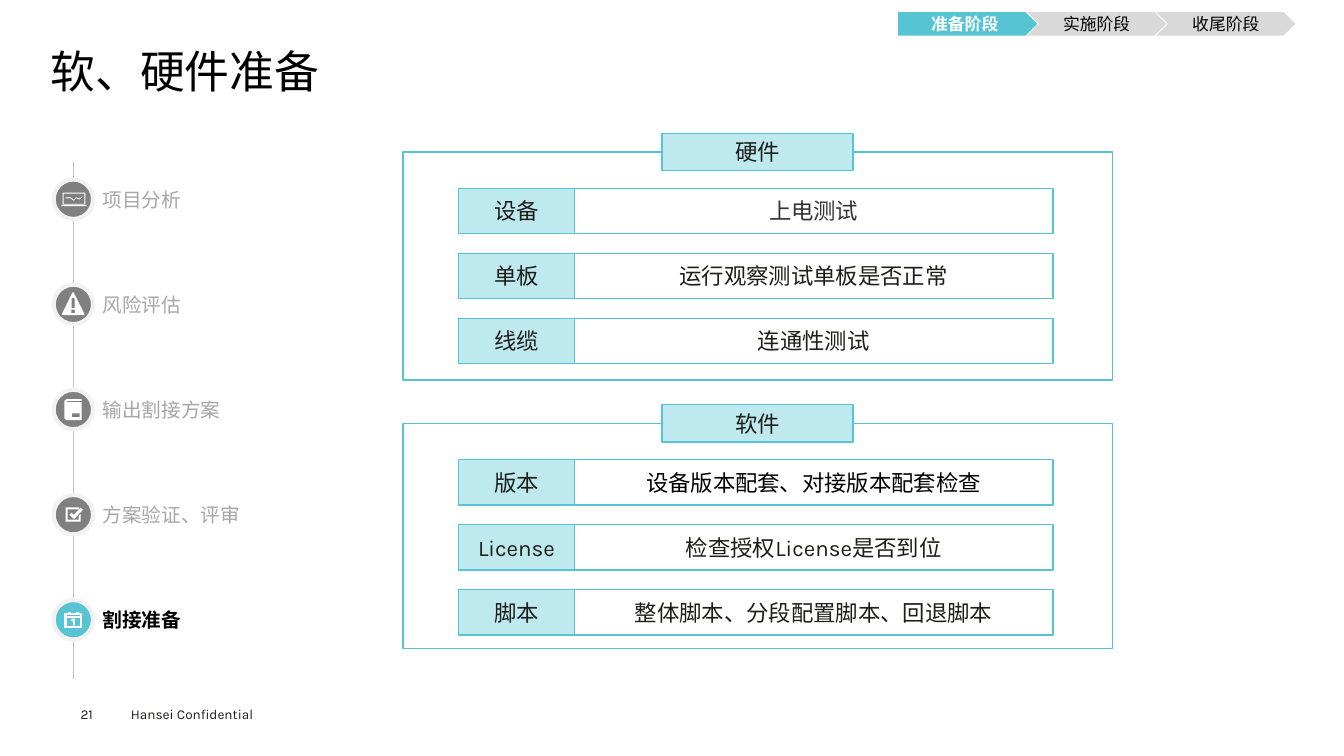
from lxml.etree import SubElement
from pptx import Presentation
from pptx.dml.color import RGBColor as RGB
from pptx.enum.shapes import MSO_CONNECTOR as CONN, MSO_SHAPE as SHAPE
from pptx.enum.text import MSO_ANCHOR as ANCHOR, MSO_AUTO_SIZE as AUTO, PP_ALIGN as ALIGN
from pptx.oxml.ns import qn
from pptx.util import Pt

COLORS = {
    "teal": "56C4D2", "pale": "BEE9EE", "ink": "1D1D1A", "footer": "1D1D1B",
    "dark": "333333", "black": "000000", "white": "FFFFFF", "muted": "A6A6A6",
    "disc": "808080", "ring": "F2F2F2", "axis": "BFBFBF", "stage": "D9D9D9",
}
LATIN, HAN = "Karla", "Noto Sans CJK SC"


def box(l, t, r, b):
    return [(l, t), (r, t), (r, b), (l, b)]


ICONS = {
    "monitor": [
        box(-7.6, -4.7, 8.6, 4), box(-6.9, -4, 7.9, 3.3), box(-8.5, 4.3, 9.4, 5),
        [(-5.5, -1.2), (-2.4, -1.5), (0.3, 0.4), (2, -1.3), (4.5, -0.5), (6.3, -2),
         (6.3, -1.4), (4.5, 0.2), (2, -0.6), (0.3, 1.1), (-2.4, -0.8), (-5.5, -0.5)],
    ],
    "warning": [
        [(-0.5, -8.6), (0.2, -8.6), (7.9, 6.8), (7.4, 7.7), (-7.8, 7.7), (-8.2, 6.8)],
        box(-1.2, -4.4, 1, 2.7), box(-1.3, 3.7, 1.1, 6.2),
    ],
    "book": [
        [(-6.3, -6.1), (-4.8, -7.4), (6, -7.4), (6, -6.2), (-4.4, -6.2), (-4.4, -5.3),
         (6, -5.3), (6, 7.6), (-5, 7.6), (-6.3, 6.4)],
        box(-1, 2.7, 4.5, 5.4),
    ],
    "check": [
        [(-5.5, -5.2), (4.2, -5.2), (3.6, -3.8), (-4.1, -3.8), (-4.1, 3.6), (3.8, 3.6),
         (3.8, 1), (5.2, -0.5), (5.2, 5), (-5.5, 5)],
        [(5.2, -5), (6.8, -3.4), (0.9, 2.9), (0, 2.9), (-2.8, 0.1), (-1.3, -1.4), (0.3, 0.2)],
    ],
    "calendar": [
        [(-6.2, -4.2), (-3.6, -4.2), (-3.6, -5.2), (-2.2, -5.2), (-2.2, -4.2), (2.1, -4.2),
         (2.1, -5.2), (3.5, -5.2), (3.5, -4.2), (6, -4.2), (6, 5.2), (-6.2, 5.2)],
        box(-5.1, -3.5, 4.9, -2.1), box(-5.1, -1.3, 4.9, 4.5),
        [(-1.2, 0.2), (0.1, -0.6), (0.7, -0.6), (0.7, 3.6), (0.1, 3.6), (0.1, 0.3), (-1.2, 0.7)],
    ],
}


class Deck:
    def __init__(self, width, height):
        self.prs = Presentation()
        self.prs.slide_width, self.prs.slide_height = Pt(width), Pt(height)
        self.s = self.prs.slides.add_slide(self.prs.slide_layouts[5])

    def color(self, name):
        return RGB.from_string(COLORS[name])

    def label(self, sp, text, size, color, bold=False, font=LATIN, align=ALIGN.LEFT,
              anchor=ANCHOR.MIDDLE, margins=(0, 0)):
        tf = sp.text_frame
        tf.word_wrap, tf.auto_size, tf.vertical_anchor = True, AUTO.NONE, anchor
        tf.margin_left = tf.margin_right = Pt(margins[0])
        tf.margin_top = tf.margin_bottom = Pt(margins[1])
        p = tf.paragraphs[0]
        p.alignment = align
        r = p.add_run()
        r.text = text
        r.font.size, r.font.bold = Pt(size), bold
        r.font.color.rgb = self.color(color)
        r.font.name = font
        SubElement(r._r.get_or_add_rPr(), qn("a:ea")).set("typeface", HAN)
        return p

    def title(self, text, x, y, w, h):
        sp = self.s.shapes.title
        sp.left, sp.top, sp.width, sp.height = Pt(x), Pt(y), Pt(w), Pt(h)
        p = self.label(sp, text, 32, "black", anchor=ANCHOR.TOP)
        p.line_spacing = 0.9

    def text(self, text, x, y, w, h, size, color, **style):
        sp = self.s.shapes.add_textbox(Pt(x), Pt(y), Pt(w), Pt(h))
        self.label(sp, text, size, color, **style)

    def paint(self, sp, fill, line, weight):
        sp.shadow.inherit = False
        if fill:
            sp.fill.solid()
            sp.fill.fore_color.rgb = self.color(fill)
        else:
            sp.fill.background()
        if line:
            sp.line.color.rgb = self.color(line)
            sp.line.width = Pt(weight)
        else:
            sp.line.fill.background()

    def shape(self, kind, x, y, w, h, fill=None, line=None, weight=1):
        sp = self.s.shapes.add_shape(kind, Pt(x), Pt(y), Pt(w), Pt(h))
        self.paint(sp, fill, line, weight)
        return sp

    def cell(self, text, x, y, w, h, fill=None, color="ink", font=LATIN):
        sp = self.shape(SHAPE.RECTANGLE, x, y, w, h, fill, "teal")
        self.label(sp, text, 16, color, font=font, align=ALIGN.CENTER)

    def line(self, x1, y1, x2, y2, color, weight):
        c = self.s.shapes.add_connector(CONN.STRAIGHT, Pt(x1), Pt(y1), Pt(x2), Pt(y2))
        c.line.color.rgb = self.color(color)
        c.line.width = Pt(weight)
        SubElement(c._element.spPr, qn("a:effectLst"))

    def icon(self, name, x, y, line=None):
        fb = None
        for contour in ICONS[name]:
            pts = [(Pt(x + dx), Pt(y + dy)) for dx, dy in contour]
            if fb is None:
                fb = self.s.shapes.build_freeform(*pts[0])
            else:
                fb.move_to(*pts[0])
            fb.add_line_segments(pts[1:], close=True)
        self.paint(fb.convert_to_shape(), "white", line, 0.75)

    def step(self, text, icon, x, y, active):
        disc, color = ("teal", "black") if active else ("disc", "muted")
        d = 28.2
        self.shape(SHAPE.OVAL, x - d / 2, y - d / 2, d, d, disc, "ring", 3)
        self.icon(icon, x, y, "white" if active else None)
        self.text(text, x + 13.9, y - 17.3, 124.6, 34.6, 14, color, bold=active,
                  margins=(7.2, 3.6))

    def panel(self, heading, y, h, rows):
        self.shape(SHAPE.RECTANGLE, 288, y, 506.9, h, line="teal")
        self.cell(heading, 473, y - 13.5, 136.2, 26.7, "pale")
        for i, (name, task, color, font) in enumerate(rows):
            top = y + 25.8 + 46.4 * i
            self.cell(task, 410.2, top, 342, 32.4, color=color, font=font)
            self.cell(name, 327.6, top, 82.6, 32.4, "pale")

    def stage(self, text, i, active):
        kind = SHAPE.CHEVRON if i else SHAPE.PENTAGON
        sp = self.shape(kind, 641.5 + 92.2 * i, 8.6, 99.4, 16.8, "teal" if active else "stage")
        self.label(sp, text, 12, "white" if active else "black", bold=active,
                   align=ALIGN.CENTER)


def main():
    d = Deck(960, 540)
    d.title("软、硬件准备", 36, 35.3, 889.2, 38.2)
    d.text("Hansei Confidential", 86.4, 500.4, 115.2, 19.4, 9.7, "footer",
           anchor=ANCHOR.TOP, margins=(7.2, 3.6))
    d.text("21", 57.6, 504, 39.6, 11.5, 9.7, "footer", anchor=ANCHOR.TOP)

    steps = [("项目分析", "monitor"), ("风险评估", "warning"), ("输出割接方案", "book"),
             ("方案验证、评审", "check"), ("割接准备", "calendar")]
    d.line(52.4, 115.9, 52.4, 485.3, "axis", 0.25)
    for i, (text, icon) in enumerate(steps):
        d.step(text, icon, 52.4, 142.3 + 75.1 * i, icon == "calendar")

    d.panel("硬件", 108.7, 162.7, [
        ("设备", "上电测试", "dark", HAN),
        ("单板", "运行观察测试单板是否正常", "ink", LATIN),
        ("线缆", "连通性测试", "ink", LATIN),
    ])
    d.panel("软件", 302.5, 160.6, [
        ("版本", "设备版本配套、对接版本配套检查", "black", HAN),
        ("License", "检查授权License是否到位", "ink", LATIN),
        ("脚本", "整体脚本、分段配置脚本、回退脚本", "ink", LATIN),
    ])
    for i, text in enumerate(["准备阶段", "实施阶段", "收尾阶段"]):
        d.stage(text, i, i == 0)
    d.prs.save("out.pptx")


if __name__ == "__main__":
    main()
